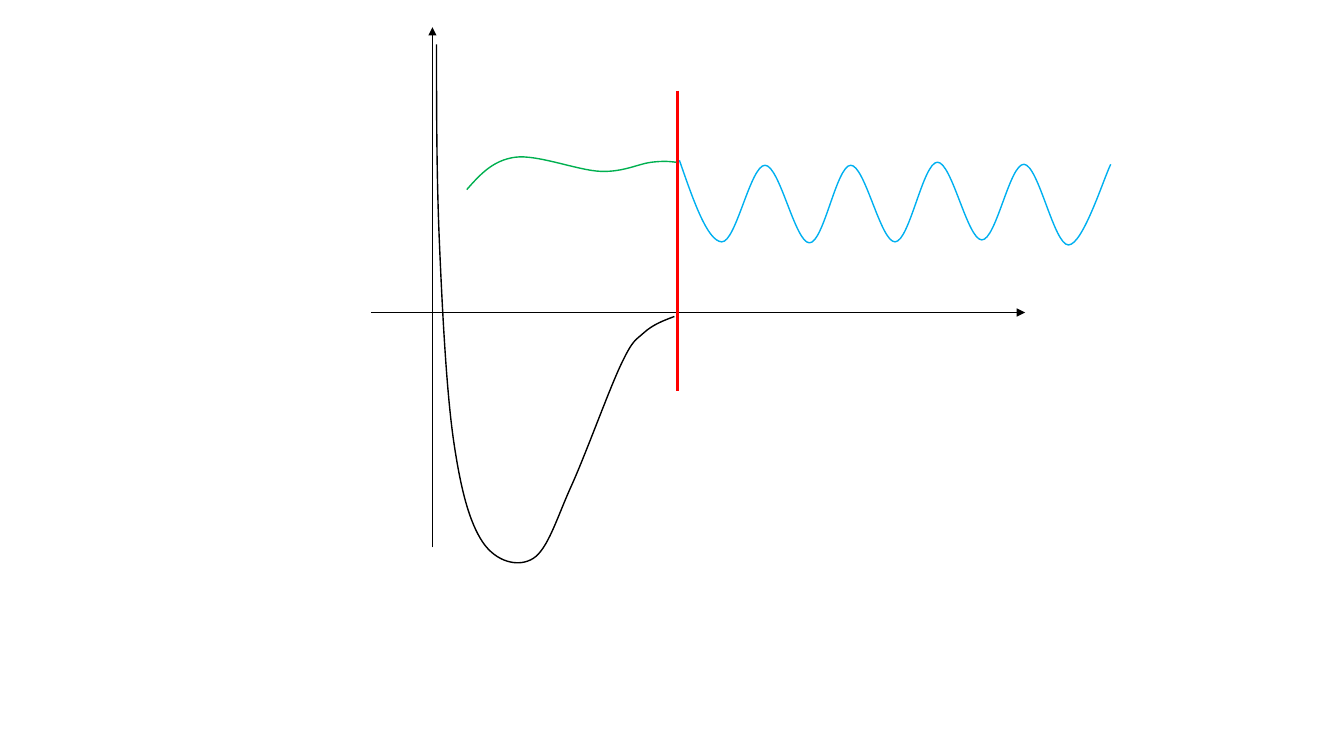
from lxml import etree
from pptx import Presentation
from pptx.dml.color import RGBColor
from pptx.enum.shapes import MSO_CONNECTOR
from pptx.oxml.ns import qn
from pptx.util import Pt

STRAIGHT = MSO_CONNECTOR.STRAIGHT
BLANK_LAYOUT = 6

THEME = {
    "axis": RGBColor(0x00, 0x00, 0x00),
    "boundary": RGBColor(0xFF, 0x00, 0x00),
    "inner": RGBColor(0x00, 0xB0, 0x50),
    "outer": RGBColor(0x00, 0xB0, 0xF0),
    "thin": Pt(1),
    "thick": Pt(2),
}

# Content: knots and line ends in points
OUTER_WAVE = [
    (485.3, 114.5), (515.5, 172.8), (546.5, 118.1), (578.2, 173.5),
    (607.7, 118.1), (639.4, 172.8), (669.6, 115.9), (701.3, 171.4),
    (731.5, 117.4), (763.2, 175), (793.4, 117.4),
]
OUTER_WAVE_END = (788.4, 127.4)  # last control point
POTENTIAL = [
    (311.8, 31.7), (313.9, 173.5), (324, 314.6), (344.9, 387.4),
    (380.9, 398.9), (408.2, 347), (443.5, 260.6), (460.1, 237.6),
    (481.7, 226.1),
]
INNER_WAVE = [
    (333.4, 135.4), (367.9, 112.3), (429.1, 122.4), (465.1, 115.9),
    (483.1, 115.9),
]
HORIZONTAL_AXIS = ((265, 223.2), (732.2, 223.2))
VERTICAL_AXIS = ((308.9, 391), (308.9, 19.4))
BOUNDARY = ((483.8, 64.8), (483.8, 279.4))


def midpoint(a, b):
    return (a[0] + b[0]) / 2, (a[1] + b[1]) / 2


def bezier_segments(knots, end_control=None):
    """Smooth segments: each inner tangent is parallel to its neighbours' chord."""
    last = len(knots) - 1

    def control(i, side):
        (x, y), (px, py), (nx, ny) = knots[i], knots[i - 1], knots[i + 1]
        return x + side * (nx - px) / 6, y + side * (ny - py) / 6

    for i in range(last):
        first = control(i, 1) if i > 0 else midpoint(knots[0], control(1, -1))
        if i + 1 < last:
            second = control(i + 1, -1)
        else:
            second = end_control or midpoint(first, knots[last])
        yield first, second, knots[i + 1]


def draw_curve(shapes, knots, color, end_control=None):
    points = [(Pt(x), Pt(y)) for x, y in knots]
    builder = shapes.build_freeform(*points[0])
    builder.add_line_segments(points[1:], close=False)
    curve = builder.convert_to_shape()
    curve.shadow.inherit = False
    curve.fill.background()
    curve.line.color.rgb = color
    curve.line.width = THEME["thin"]
    # Turn each straight segment into a cubic one
    straight = list(curve._element.iter(qn("a:lnTo")))
    for segment, controls in zip(straight, bezier_segments(knots, end_control)):
        cubic = etree.Element(qn("a:cubicBezTo"))
        for x, y in controls:
            etree.SubElement(cubic, qn("a:pt"), x=str(Pt(x) - curve.left),
                             y=str(Pt(y) - curve.top))
        segment.getparent().replace(segment, cubic)
    return curve


def draw_line(shapes, ends, color, width, arrow=False):
    (x1, y1), (x2, y2) = ends
    line = shapes.add_connector(STRAIGHT, Pt(x1), Pt(y1), Pt(x2), Pt(y2))
    line.line.color.rgb = color
    line.line.width = width
    if arrow:
        etree.SubElement(line.line._get_or_add_ln(), qn("a:tailEnd"), type="triangle")
    etree.SubElement(line._element.spPr, qn("a:effectLst"))
    return line


def main():
    prs = Presentation()
    prs.slide_width, prs.slide_height = Pt(960), Pt(540)
    shapes = prs.slides.add_slide(prs.slide_layouts[BLANK_LAYOUT]).shapes

    # Parts of the graph, from back to front
    graph = [
        draw_curve(shapes, OUTER_WAVE, THEME["outer"], OUTER_WAVE_END),
        draw_line(shapes, HORIZONTAL_AXIS, THEME["axis"], THEME["thin"], arrow=True),
        draw_line(shapes, VERTICAL_AXIS, THEME["axis"], THEME["thin"], arrow=True),
        draw_line(shapes, BOUNDARY, THEME["boundary"], THEME["thick"]),
        draw_curve(shapes, POTENTIAL, THEME["axis"]),
        draw_curve(shapes, INNER_WAVE, THEME["inner"]),
    ]
    shapes.add_group_shape(graph)
    prs.save("out.pptx")


if __name__ == "__main__":
    main()
